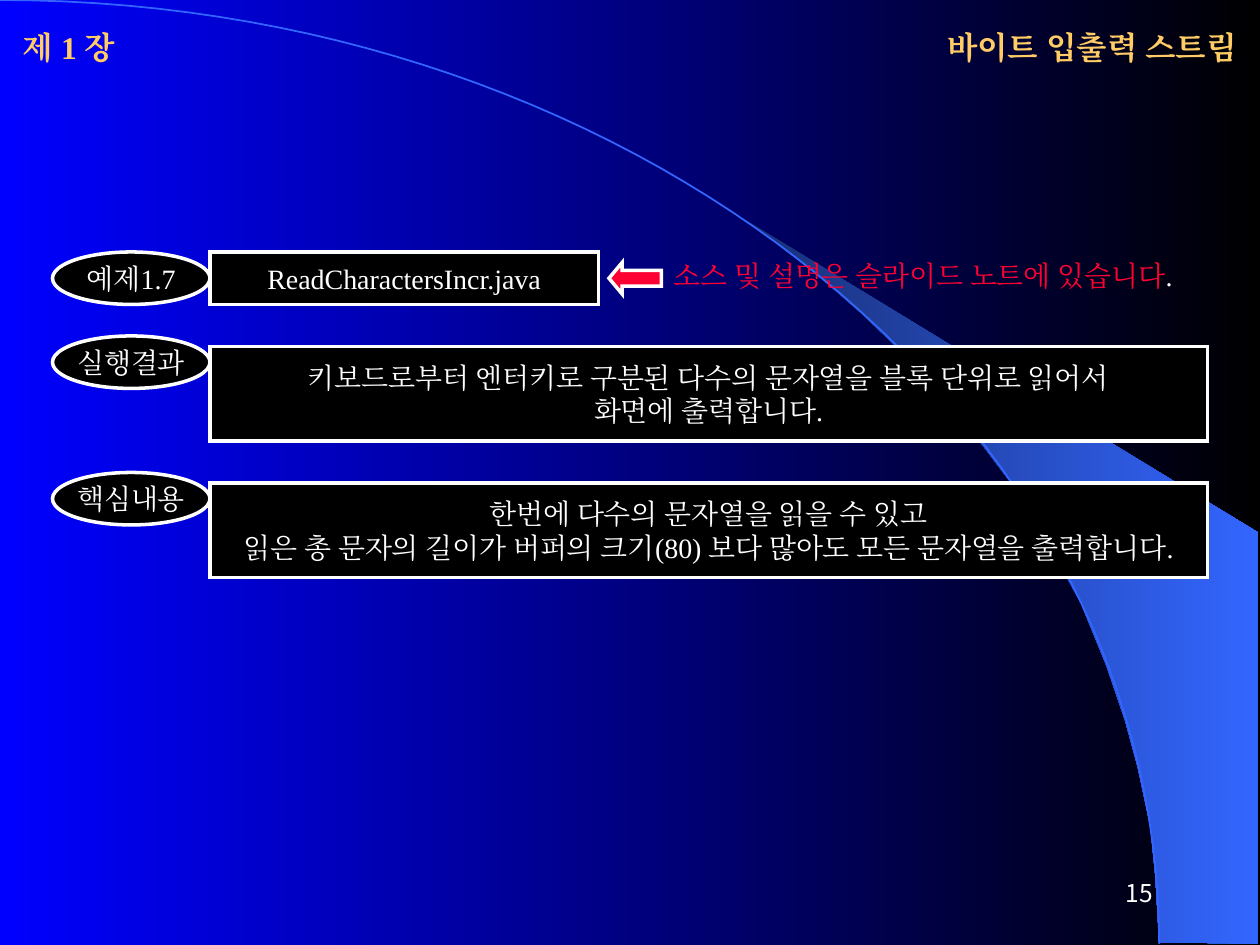
from pptx import Presentation
from pptx.util import Inches, Pt
from pptx.dml.color import RGBColor
from pptx.enum.shapes import MSO_SHAPE as Preset
from pptx.enum.text import MSO_ANCHOR as Anchor, MSO_AUTO_SIZE as AutoSize, PP_ALIGN as Align
from pptx.oxml.ns import qn
from lxml.etree import SubElement

BLUE = RGBColor(0x00, 0x00, 0xFF)
BLACK = RGBColor(0x00, 0x00, 0x00)
WHITE = RGBColor(0xFF, 0xFF, 0xFF)
GOLD = RGBColor(0xFF, 0xCC, 0x66)
RED = RGBColor(0xFF, 0x00, 0x33)
NAVY = RGBColor(0x18, 0x2F, 0x76)
AZURE = RGBColor(0x33, 0x66, 0xFF)
SERIF = "Times New Roman"
HANGUL = "Noto Sans CJK KR"
CELL = Inches(1) / 12


def grid(*cells):
    return [round(cell * CELL) for cell in cells]


def write(box, lines, size, align, anchor=Anchor.MIDDLE, wrap=False, font=SERIF, bold=False):
    frame = box.text_frame
    frame.auto_size = AutoSize.NONE
    frame.word_wrap = wrap
    frame.vertical_anchor = anchor
    for index, line in enumerate(lines):
        para = frame.paragraphs[0] if index == 0 else frame.add_paragraph()
        para.alignment = align
        for text, color in line:
            span = para.add_run()
            span.text = text
            span.font.name = font
            span.font.size = Pt(size)
            span.font.bold = bold
            span.font.color.rgb = color
            SubElement(span.font._element, qn("a:ea")).set("typeface", font)


deck = Presentation()
deck.slide_width, deck.slide_height = Inches(10), Inches(7.5)
page = deck.slides.add_slide(deck.slide_layouts[5])
shapes = page.shapes

band_points = [
    (9.2, 7.48), (9.99, 7.49), (9.99, 4.23), (5.89, 1.73), (6.24, 1.99), (6.53, 2.22),
    (6.85, 2.5), (7.16, 2.8), (7.62, 3.3), (8.03, 3.84), (8.32, 4.31), (8.58, 4.79),
    (8.78, 5.28), (8.93, 5.72), (9.03, 6.09), (9.13, 6.56), (9.17, 6.96),
]
steps = 60
arc_points = []
for step in range(steps + 1):
    t = step / steps
    u = 1 - t
    arc_points.append((3 * u * u * t * 5.08 + 3 * u * t * t * 9.2 + t ** 3 * 9.2,
                       3 * u * t * t * 3.35 + t ** 3 * 7.49))

outlines = []
for points, closed in ((band_points, True), (arc_points, False)):
    start, *rest = [(Inches(x), Inches(y)) for x, y in points]
    builder = shapes.build_freeform(*start)
    builder.add_line_segments(rest, close=closed)
    outline = builder.convert_to_shape()
    outline.shadow.inherit = False
    outlines.append(outline)
band, arc = outlines
band.line.fill.background()
arc.fill.background()
arc.line.color.rgb = AZURE
arc.line.width = Pt(1)

for fill, colors in ((page.background.fill, (BLUE, BLACK)), (band.fill, (NAVY, AZURE))):
    fill.gradient()
    fill.gradient_angle = 0
    for stop, color, position in zip(fill.gradient_stops, colors, (0, 1)):
        stop.color.rgb = color
        stop.position = position

title = shapes.title
title.left, title.top, title.width, title.height = grid(83, 2, 36, 5)
write(title, [[("바이트 입출력 스트림", GOLD)]], 18, Align.RIGHT, wrap=True, bold=True)

chapter = shapes.add_textbox(*grid(1, 2, 17, 5))
write(chapter, [[("제 1 장", GOLD)]], 18, Align.LEFT, bold=True)

number = shapes.add_textbox(*grid(86, 82, 25, 6))
write(number, [[("15", WHITE)]], 14, Align.RIGHT, wrap=True, font=HANGUL)

note = shapes.add_textbox(*grid(63, 24, 53, 4.4))
write(note, [[("소스 및 설명은 슬라이드 노트에 있습니다", RED), (".", WHITE)]],
      16, Align.LEFT, Anchor.TOP, wrap=True)

panels = [
    (Preset.OVAL, (5, 24, 15, 5), ["예제1.7"]),
    (Preset.RECTANGLE, (20, 24, 37, 5), ["ReadCharactersIncr.java"]),
    (Preset.LEFT_ARROW, (58, 25, 5, 3), []),
    (Preset.OVAL, (5, 32, 15, 5), ["실행결과"]),
    (Preset.RECTANGLE, (20, 33, 95, 9),
     ["키보드로부터 엔터키로 구분된 다수의 문자열을 블록 단위로 읽어서", "화면에 출력합니다."]),
    (Preset.OVAL, (5, 45, 15, 5), ["핵심내용"]),
    (Preset.RECTANGLE, (20, 46, 95, 9),
     ["한번에 다수의 문자열을 읽을 수 있고",
      "읽은 총 문자의 길이가 버퍼의 크기(80) 보다 많아도 모든 문자열을 출력합니다."]),
]
for preset, cells, lines in panels:
    panel = shapes.add_shape(preset, *grid(*cells))
    panel.shadow.inherit = False
    panel.fill.solid()
    panel.fill.fore_color.rgb = RED if preset == Preset.LEFT_ARROW else BLACK
    panel.line.color.rgb = WHITE
    panel.line.width = Pt(2)
    border = panel._element.spPr.find(qn("a:ln"))
    SubElement(border, qn("a:miter")).set("lim", "800000")
    if preset == Preset.LEFT_ARROW:
        panel.adjustments[1] = 0.42
    write(panel, [[(line, WHITE)] for line in lines], 16, Align.CENTER)

deck.save("out.pptx")
